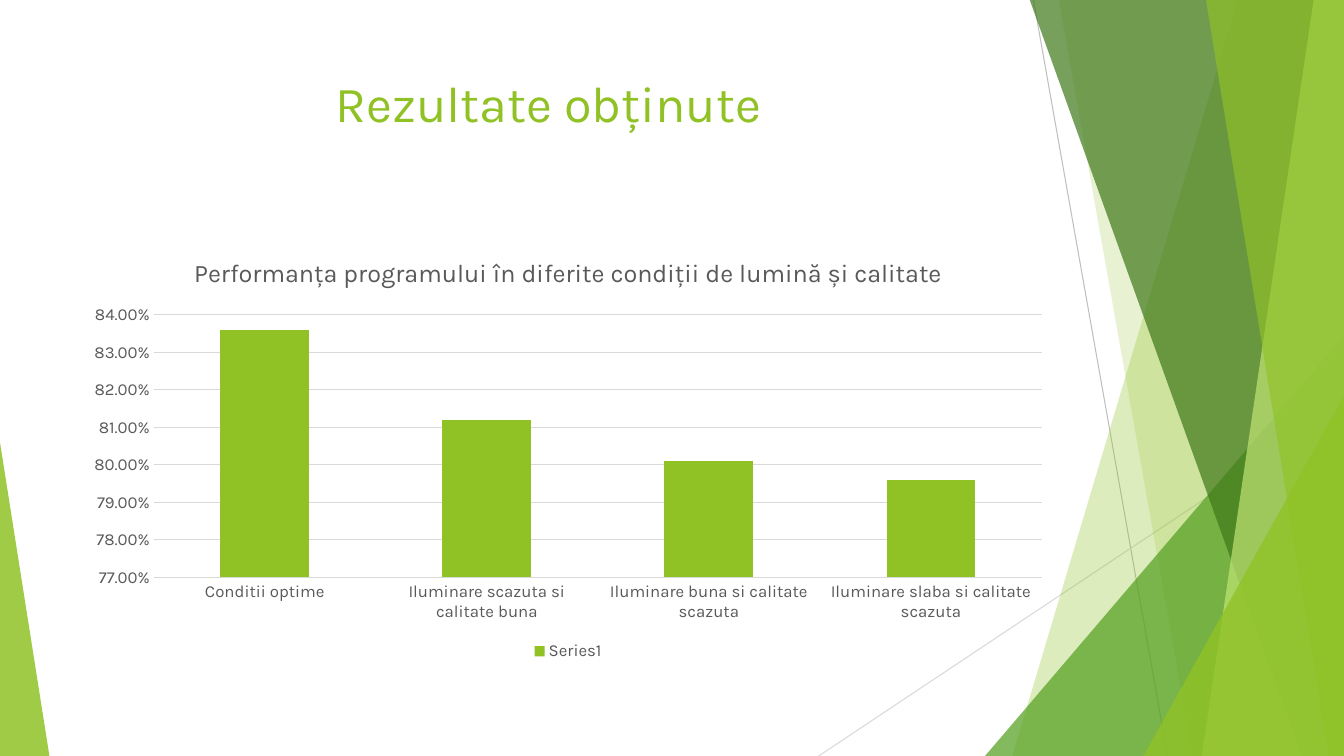
"""Build a slide with a column chart of test results beside green facets."""
from dataclasses import dataclass

from pptx import Presentation
from pptx.chart.data import CategoryChartData as ChartData
from pptx.dml.color import RGBColor
from pptx.enum.chart import XL_CHART_TYPE as Kind
from pptx.enum.chart import XL_LEGEND_POSITION as Place
from pptx.enum.chart import XL_TICK_MARK as Tick
from pptx.enum.shapes import MSO_CONNECTOR as Link
from pptx.enum.shapes import MSO_SHAPE as Preset
from pptx.enum.text import MSO_ANCHOR as Anchor
from pptx.enum.text import PP_ALIGN as Align
from pptx.oxml.ns import qn
from pptx.oxml.xmlchemy import OxmlElement as Element
from pptx.shapes.autoshape import Shape
from pptx.slide import Slide
from pptx.text.text import Font
from pptx.util import Inches, Pt

FONT = "Karla"
WIDE, HIGH = 13.33, 7.5
LIME = RGBColor(0x90, 0xC2, 0x26)
GREEN = RGBColor(0x54, 0xA0, 0x21)
FOREST = RGBColor(0x3F, 0x78, 0x19)
PALE = RGBColor(0xC0, 0xE4, 0x74)
SILVER = RGBColor(0xBF, 0xBF, 0xBF)
MIST = RGBColor(0xD9, 0xD9, 0xD9)
SLATE = RGBColor(0x59, 0x59, 0x59)


@dataclass(frozen=True)
class Ray:
    x1: float
    y1: float
    x2: float
    color: RGBColor


@dataclass(frozen=True)
class Band:
    top: float
    base: float
    color: RGBColor
    alpha: int


@dataclass(frozen=True)
class Wedge:
    left: float
    top: float
    width: float
    peak: float
    color: RGBColor
    alpha: int


RAYS = [Ray(10.25, 0, 11.58, SILVER), Ray(WIDE, 4.03, 8.12, MIST)]
FACETS = [
    Band(12.28, 10.04, LIME, 30),
    Band(10.5, 11.83, LIME, 20),
    Wedge(9.77, 3.33, 3.56, 1, GREEN, 72),
    Band(10.21, 12.91, FOREST, 70),
    Band(13.03, 11.92, PALE, 70),
    Band(11.96, 13.18, LIME, 65),
    Wedge(11.34, 3.93, 1.99, 1, LIME, 80),
    Wedge(0, 4.39, 0.49, 0, LIME, 85),
]
SCORES = {
    "Conditii optime": 0.836,
    "Iluminare scazuta si calitate buna": 0.812,
    "Iluminare buna si calitate scazuta": 0.801,
    "Iluminare slaba si calitate scazuta": 0.796,
}


def style(font: Font, size: float, color: RGBColor) -> None:
    font.name = FONT
    font.size = Pt(size)
    font.bold = False
    font.color.rgb = color


def draw_ray(slide: Slide, ray: Ray) -> None:
    line = slide.shapes.add_connector(
        Link.STRAIGHT, Inches(ray.x1), Inches(ray.y1), Inches(ray.x2), Inches(HIGH)
    )
    line.line.color.rgb = ray.color
    line.line.width = Pt(0.75)
    line._element.spPr.append(Element("a:effectLst"))


def add_band(slide: Slide, band: Band) -> Shape:
    points = [(WIDE, -0.01), (WIDE, HIGH), (band.base, HIGH)]
    pen = slide.shapes.build_freeform(Inches(band.top), Inches(-0.01))
    pen.add_line_segments([(Inches(x), Inches(y)) for x, y in points])
    return pen.convert_to_shape()


def add_wedge(slide: Slide, wedge: Wedge) -> Shape:
    shape = slide.shapes.add_shape(
        Preset.ISOSCELES_TRIANGLE, Inches(wedge.left), Inches(wedge.top),
        Inches(wedge.width), Inches(HIGH - wedge.top),
    )
    shape.adjustments[0] = wedge.peak
    return shape


def draw_facet(slide: Slide, facet: Band | Wedge) -> None:
    add = add_band if isinstance(facet, Band) else add_wedge
    shape = add(slide, facet)
    shape.shadow.inherit = False
    shape.line.fill.background()
    shape.fill.solid()
    shape.fill.fore_color.rgb = facet.color
    alpha = Element("a:alpha")
    alpha.set("val", str(facet.alpha * 1000))
    next(shape._element.spPr.iter(qn("a:srgbClr"))).append(alpha)


def draw_title(slide: Slide) -> None:
    box = slide.shapes.add_textbox(Inches(0.74), Inches(0.67), Inches(9.4), Inches(1.44))
    frame = box.text_frame
    frame.word_wrap = True
    frame.vertical_anchor = Anchor.TOP
    para = frame.paragraphs[0]
    para.alignment = Align.CENTER
    run = para.add_run()
    run.text = "Rezultate obținute"
    style(run.font, 36, LIME)


def draw_chart(slide: Slide) -> None:
    data = ChartData(number_format="0.00%")
    data.categories = list(SCORES)
    data.add_series("Series1", list(SCORES.values()))
    chart = slide.shapes.add_chart(
        Kind.COLUMN_CLUSTERED, Inches(0.74), Inches(2.36), Inches(9.79), Inches(4.24), data
    ).chart
    style(chart.font, 12, SLATE)

    chart.has_title = True
    run = chart.chart_title.text_frame.paragraphs[0].add_run()
    run.text = "Performanța programului în diferite condiții de lumină și calitate"
    style(run.font, 18, SLATE)
    chart.chart_title.include_in_layout = False

    chart.has_legend = True
    chart.legend.position = Place.BOTTOM
    chart.legend.include_in_layout = False
    style(chart.legend.font, 12, SLATE)

    for axis in (chart.category_axis, chart.value_axis):
        axis.major_tick_mark = axis.minor_tick_mark = Tick.NONE
        style(axis.tick_labels.font, 12, SLATE)
    scale = chart.value_axis
    scale.minimum_scale, scale.maximum_scale, scale.major_unit = 0.77, 0.84, 0.01
    scale.tick_labels.number_format = "0.00%"
    scale.tick_labels.number_format_is_linked = False
    scale.format.line.fill.background()
    for line in (chart.category_axis.format.line, scale.major_gridlines.format.line):
        line.color.rgb = MIST
        line.width = Pt(0.75)

    plot = chart.plots[0]
    plot.gap_width = 150
    plot.vary_by_categories = False
    fill = plot.series[0].format.fill
    fill.solid()
    fill.fore_color.rgb = LIME


def main() -> None:
    deck = Presentation()
    deck.slide_width, deck.slide_height = Inches(WIDE), Inches(HIGH)
    slide = deck.slides.add_slide(deck.slide_layouts[6])
    for ray in RAYS:
        draw_ray(slide, ray)
    for facet in FACETS:
        draw_facet(slide, facet)
    draw_title(slide)
    draw_chart(slide)
    deck.save("out.pptx")


if __name__ == "__main__":
    main()
